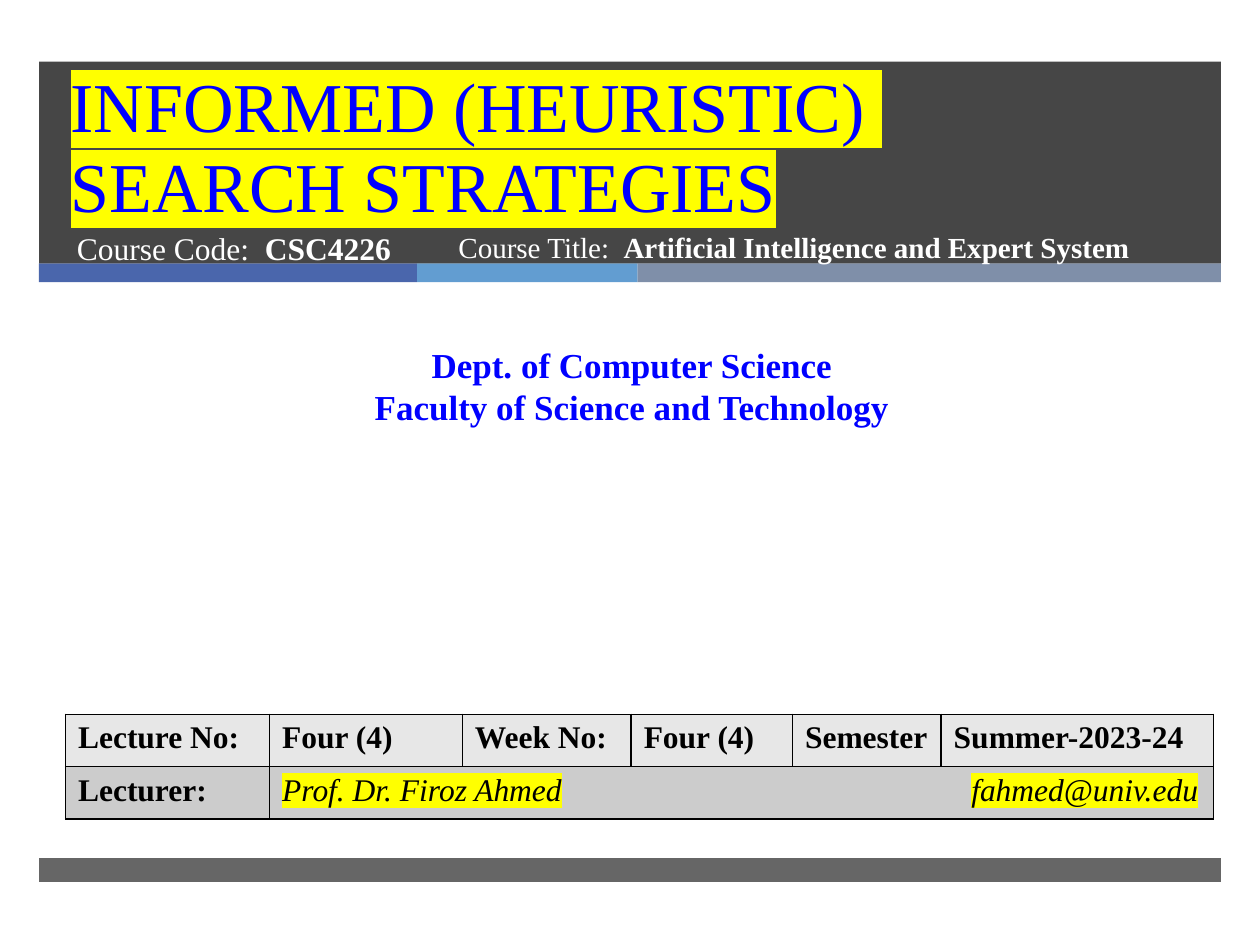
from dataclasses import dataclass

from lxml.etree import SubElement
from pptx import Presentation
from pptx.dml.color import RGBColor
from pptx.enum.shapes import MSO_SHAPE
from pptx.enum.text import MSO_ANCHOR, MSO_AUTO_SIZE, PP_ALIGN
from pptx.oxml import parse_xml
from pptx.oxml.ns import nsdecls, qn
from pptx.util import Inches, Pt


@dataclass(frozen=True)
class Theme:
    font: str = "Times New Roman"
    dark: str = "262626"
    accents: tuple = ("4A66AC", "629DD1", "7F8FA9")
    heading: str = "0000FF"
    light: str = "FFFFFF"
    ink: str = "000000"
    marker: str = "FFFF00"
    rows: tuple = ("E7E7E7", "CCCCCC")
    title_size: float = 40
    title_spacing: float = 46
    department_size: float = 20
    body_size: float = 18
    course_size: float = 16.6


class SlideBuilder:
    def __init__(self, slide, theme):
        self.slide = slide
        self.theme = theme

    def style(self, run, size, color, bold=False, italic=False, marked=False):
        font = run.font
        font.name, font.size = self.theme.font, Pt(size)
        font.bold, font.italic = bold, italic
        font.color.rgb = RGBColor.from_string(color)
        if marked:
            highlight = parse_xml(
                f'<a:highlight {nsdecls("a")}><a:srgbClr val="{self.theme.marker}"/></a:highlight>')
            run._r.rPr.find(qn("a:solidFill")).addnext(highlight)

    def place(self, shape, left, top, width, height):
        shape.left, shape.top = Inches(left), Inches(top)
        shape.width, shape.height = Inches(width), Inches(height)
        shape.text_frame.word_wrap = True
        shape.text_frame.auto_size = MSO_AUTO_SIZE.NONE
        return shape.text_frame

    def text_box(self, *box):
        return self.place(self.slide.shapes.add_textbox(0, 0, 0, 0), *box)

    def band(self, left, top, width, height, color, opacity=100):
        shape = self.slide.shapes.add_shape(
            MSO_SHAPE.RECTANGLE, Inches(left), Inches(top), Inches(width), Inches(height))
        shape.shadow.inherit = False
        shape.fill.solid()
        shape.fill.fore_color.rgb = RGBColor.from_string(color)
        shape.line.fill.background()
        if opacity < 100:
            tint = shape._element.spPr.find(qn("a:solidFill"))[0]
            SubElement(tint, qn("a:alpha"), val=str(opacity * 1000))
        # Bands lie behind the placeholders
        shape._element.getparent().insert(2, shape._element)

    def title(self, text, *box):
        frame = self.place(self.slide.shapes.title, *box)
        frame.text = text
        frame.vertical_anchor = MSO_ANCHOR.BOTTOM
        heading = frame.paragraphs[0]
        heading.alignment = PP_ALIGN.LEFT
        heading.line_spacing = Pt(self.theme.title_spacing)
        for run in heading.runs:
            self.style(run, self.theme.title_size, self.theme.heading, marked=True)

    def labelled(self, frame, label, value, size):
        frame.vertical_anchor = MSO_ANCHOR.TOP
        line = frame.paragraphs[0]
        line.alignment = PP_ALIGN.LEFT
        line.space_before = Pt(2)
        for text, bold in ((label, False), (value, True)):
            run = line.add_run()
            run.text = text
            self.style(run, size, self.theme.light, bold=bold)

    def centered(self, text, *box):
        frame = self.text_box(*box)
        frame.text = text
        for line in frame.paragraphs:
            line.alignment = PP_ALIGN.CENTER
            for run in line.runs:
                self.style(run, self.theme.department_size, self.theme.heading, bold=True)

    def cell_format(self, cell, color):
        cell.fill.solid()
        cell.fill.fore_color.rgb = RGBColor.from_string(color)
        properties = cell._tc.get_or_add_tcPr()
        for index, side in enumerate(("lnL", "lnR", "lnT", "lnB")):
            properties.insert(index, parse_xml(
                f'<a:{side} {nsdecls("a")} w="12700"><a:solidFill>'
                f'<a:srgbClr val="{self.theme.ink}"/></a:solidFill></a:{side}>'))

    def table(self, left, top, widths, row_height, rows):
        grid = self.slide.shapes.add_table(
            len(rows), len(widths), Inches(left), Inches(top),
            Inches(sum(widths)), Inches(row_height * len(rows))).table
        for column, width in zip(grid.columns, widths):
            column.width = Inches(width)
        for r, texts in enumerate(rows):
            grid.rows[r].height = Inches(row_height)
            for c in range(len(widths)):
                self.cell_format(grid.cell(r, c), self.theme.rows[r])
            for c, text in enumerate(texts):
                frame = grid.cell(r, c).text_frame
                frame.text = text
                self.style(frame.paragraphs[0].runs[0], self.theme.body_size,
                           self.theme.ink, bold=True)
        return grid

    def contact(self, cell, name, email, tab):
        line = cell.text_frame.paragraphs[0]
        stops = SubElement(line._p.get_or_add_pPr(), qn("a:tabLst"))
        SubElement(stops, qn("a:tab"), pos=str(Inches(tab)), algn="r")
        for text, marked in ((name, True), ("\t", False), (email, True)):
            run = line.add_run()
            run.text = text
            self.style(run, self.theme.body_size, self.theme.ink, italic=True, marked=marked)


def main():
    deck = Presentation()
    deck.slide_width, deck.slide_height = Inches(10), Inches(7.5)
    theme = Theme()
    cover = SlideBuilder(deck.slides.add_slide(deck.slide_layouts[0]), theme)

    # Header and footer bands
    margin, band_width = 0.31, 9.38
    cover.band(margin, 0.49, band_width, 1.6, theme.dark, 85)
    cover.band(margin, 6.81, band_width, 0.19, theme.dark, 70)
    left = margin
    for width, color in zip((3, 1.75, 4.63), theme.accents):
        cover.band(left, 2.09, width, 0.15, color)
        left += width

    # Title and course details
    cover.title("INFORMED (HEURISTIC) \vSEARCH STRATEGIES", 0.46, 0.66, 8.54, 1.19)
    course_code = cover.place(cover.slide.placeholders[1], 0.51, 1.77, 3.05, 0.53)
    cover.labelled(course_code, "Course Code:  ", "CSC4226", theme.body_size)
    course_title = cover.text_box(3.54, 1.77, 5.72, 0.53)
    cover.labelled(course_title, "Course Title:  ",
                   "Artificial Intelligence and Expert System", theme.course_size)

    # Department
    cover.centered("Dept. of Computer Science\nFaculty of Science and Technology",
                   0.08, 2.68, 9.87, 0.77)

    # Lecture table
    lecture = cover.table(
        0.52, 5.67, (1.62, 1.53, 1.34, 1.28, 1.18, 2.16), 0.415,
        [("Lecture No:", "Four (4)", "Week No:", "Four (4)", "Semester", "Summer-2023-24"),
         ("Lecturer:",)])
    lecturer = lecture.cell(1, 1)
    lecturer.merge(lecture.cell(1, 5))
    cover.contact(lecturer, "Prof. Dr. Firoz Ahmed", "fahmed@univ.edu", 7.27)

    deck.save("out.pptx")


if __name__ == "__main__":
    main()
